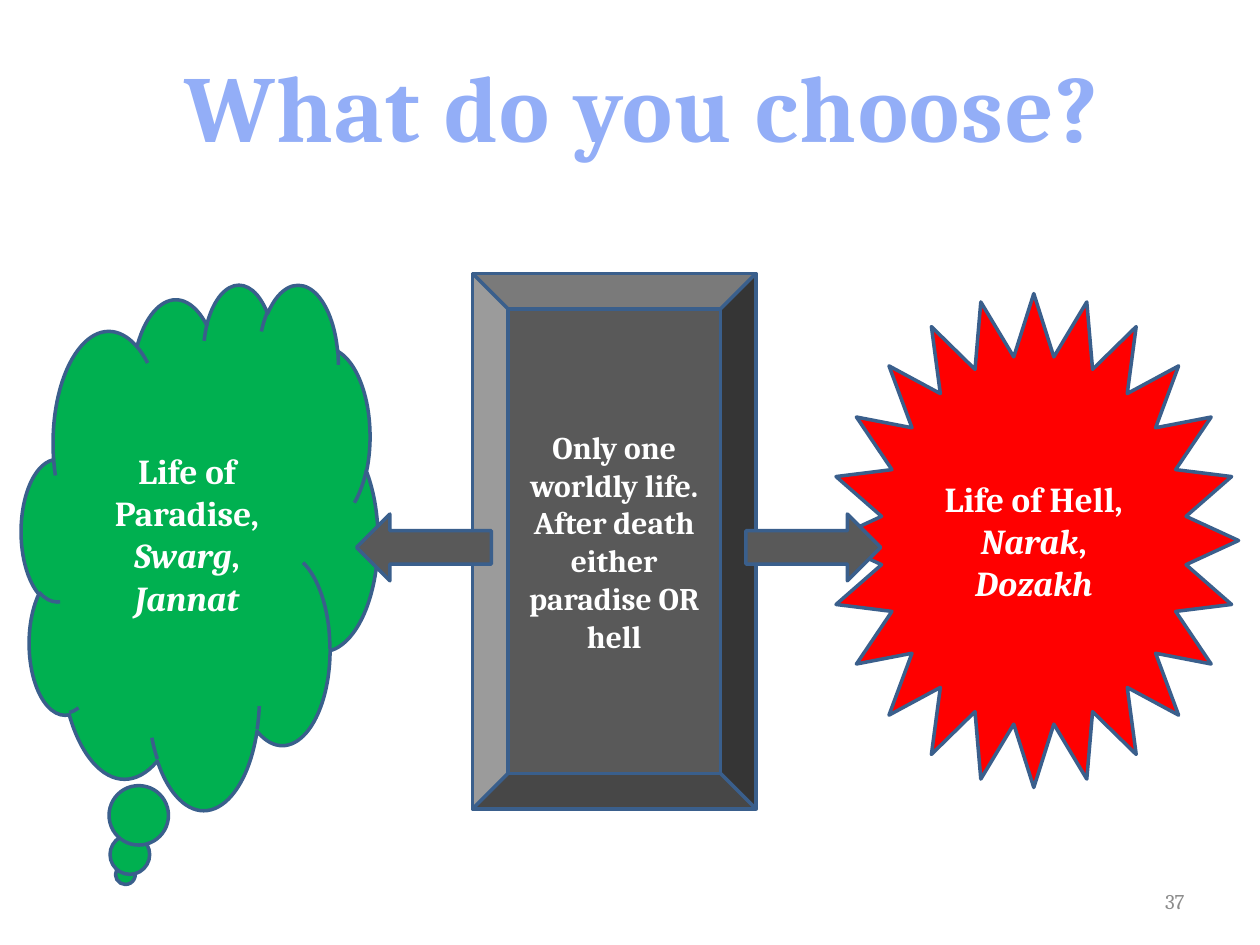
from lxml import etree
from pptx import Presentation
from pptx import util as u
from pptx.dml.color import RGBColor
from pptx.enum import shapes, text
from pptx.oxml import ns

COLORS = {
    "paradise": "00B050", "hell": "FF0000", "life": "595959", "line": "3A5F8C",
    "white": "FFFFFF", "title": "0D7BFF", "title_line": "93AEF7", "number": "8C8C8C",
}
FONT = "Cambria"


def add_run(paragraph, words, size, color, bold=True, italic=False):
    run = paragraph.add_run()
    run.text = words
    run.font.name = FONT
    run.font.size = u.Pt(size)
    run.font.bold = bold
    run.font.italic = italic
    run.font.color.rgb = RGBColor.from_string(COLORS[color])
    return run


def add_text_box(left, top, width, height, alignment):
    box = slide.shapes.add_textbox(*map(u.Inches, (left, top, width, height)))
    box.text_frame.paragraphs[0].alignment = alignment
    return box.text_frame


presentation = Presentation()
presentation.slide_width = u.Inches(10)
presentation.slide_height = u.Inches(7.5)
slide = presentation.slides.add_slide(presentation.slide_layouts[6])

# Choices and arrows: kind, position, fill, text size, (words, italic) runs
KIND = shapes.MSO_SHAPE
parts = [
    (KIND.CLOUD_CALLOUT, (0.17, 2.25, 2.83, 4.17), "paradise", 20,
     [("Life of Paradise, ", False), ("Swarg", True), (", ", False), ("Jannat", True)]),
    (KIND.STAR_24_POINT, (6.58, 2.33, 3.25, 3.92), "hell", 20,
     [("Life of Hell, ", False), ("Narak", True), (", ", False), ("Dozakh", True)]),
    (KIND.BEVEL, (3.75, 2.17, 2.25, 4.25), "life", 18,
     [("Only one worldly life. After death either paradise OR hell", False)]),
    (KIND.RIGHT_ARROW, (5.92, 4.08, 1.07, 0.53), "life", 18, []),
    (KIND.LEFT_ARROW, (2.83, 4.08, 1.07, 0.53), "life", 18, []),
]
for kind, position, fill, size, runs in parts:
    shape = slide.shapes.add_shape(kind, *map(u.Inches, position))
    shape.shadow.inherit = False
    shape.fill.solid()
    shape.fill.fore_color.rgb = RGBColor.from_string(COLORS[fill])
    shape.line.color.rgb = RGBColor.from_string(COLORS["line"])
    shape.line.width = u.Pt(2)
    shape.text_frame.word_wrap = True
    shape.text_frame.vertical_anchor = text.MSO_ANCHOR.MIDDLE
    paragraph = shape.text_frame.paragraphs[0]
    paragraph.alignment = text.PP_ALIGN.CENTER
    for words, italic in runs:
        add_run(paragraph, words, size, "white", italic=italic)

# Title: nearly transparent letters with an outline
frame = add_text_box(0.75, 0.33, 8.69, 1.01, text.PP_ALIGN.CENTER)
frame.word_wrap = False
frame.auto_size = text.MSO_AUTO_SIZE.SHAPE_TO_FIT_TEXT
title = add_run(frame.paragraphs[0], "What do you choose?", 54, "title")
properties = title.font._element
properties.set("spc", "100")
color = properties.find(".//" + ns.qn("a:srgbClr"))
etree.SubElement(color, ns.qn("a:alpha"), val="6000")
outline = etree.Element(ns.qn("a:ln"), w=str(u.Pt(1.42)))
outline_fill = etree.SubElement(outline, ns.qn("a:solidFill"))
etree.SubElement(outline_fill, ns.qn("a:srgbClr"), val=COLORS["title_line"])
properties.insert(0, outline)

# Slide number
frame = add_text_box(7.17, 6.95, 2.33, 0.4, text.PP_ALIGN.RIGHT)
frame.word_wrap = True
frame.vertical_anchor = text.MSO_ANCHOR.MIDDLE
add_run(frame.paragraphs[0], "37", 12, "number", bold=False)

presentation.save("out.pptx")
